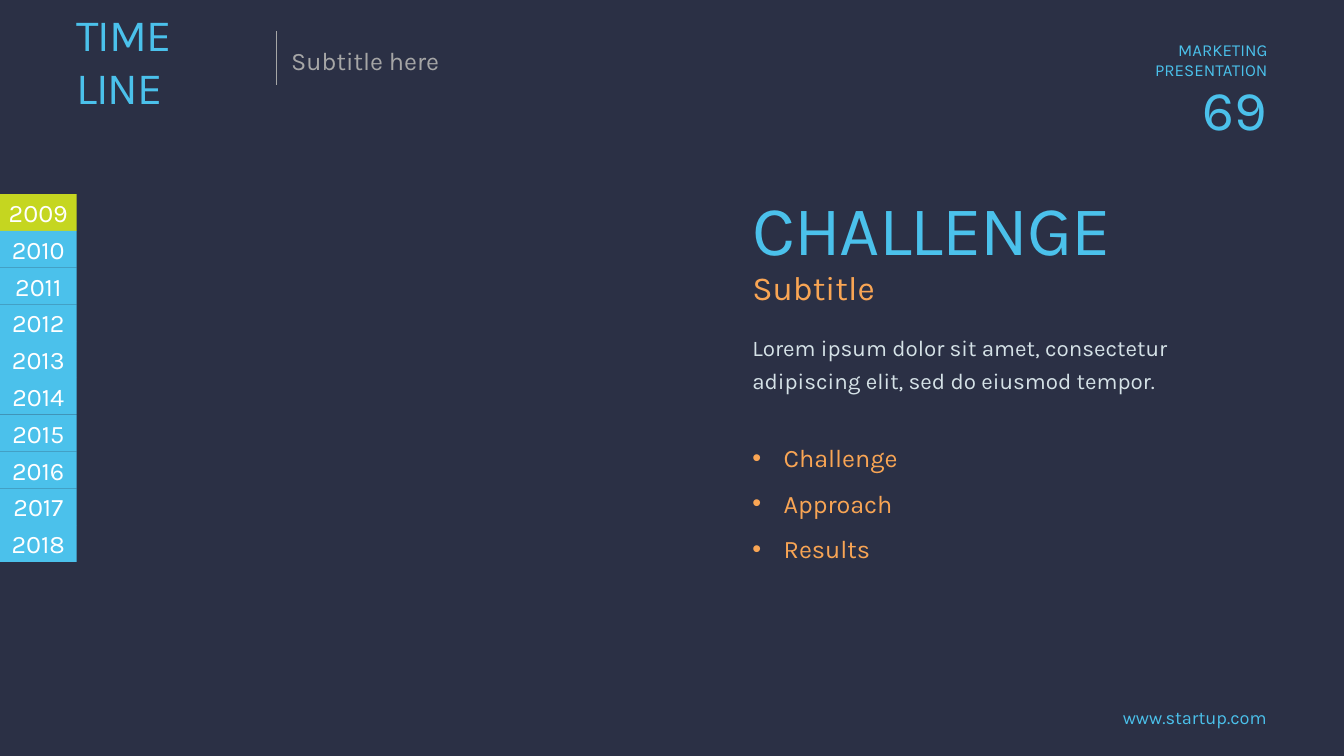
from lxml import etree
from pptx import Presentation
from pptx import util as u
from pptx.dml.color import RGBColor
from pptx.enum import shapes, text
from pptx.oxml import ns

PX = 9144  # 100 px to the inch
FONT = "Karla"
BLUE, ORANGE, GREY = "4BC1EB", "F9A554", "A6A6A6"
LEFT, RIGHT = text.PP_ALIGN.LEFT, text.PP_ALIGN.RIGHT
TOP, MID = text.MSO_ANCHOR.TOP, text.MSO_ANCHOR.MIDDLE


def paint(color, hue):
    color.rgb = RGBColor.from_string(hue)


def write(frame, lines, size, hue, align=LEFT, anchor=MID,
          pad=0, space=None, track=0, bullet=False):
    frame.word_wrap = True
    frame.vertical_anchor = anchor
    frame.margin_left = frame.margin_right = pad * PX
    frame.margin_top = frame.margin_bottom = pad // 2 * PX
    frame.text = "\n".join(lines)
    for para in frame.paragraphs:
        para.alignment = align
        if space:
            para.line_spacing = space
        if bullet:
            props = para._p.get_or_add_pPr()
            props.set("marL", str(62 * PX))
            props.set("indent", str(-62 * PX))
            etree.SubElement(props, ns.qn("a:buFont")).set("typeface", "Arial")
            etree.SubElement(props, ns.qn("a:buChar")).set("char", "•")
        para.font.size = u.Pt(size)
        para.font.name = FONT
        paint(para.font.color, hue)
        if track:
            for run in para.runs:
                run._r.get_or_add_rPr().set("spc", str(track))


deck = Presentation()
deck.slide_width, deck.slide_height = 2667 * PX, 1500 * PX
slide = deck.slides.add_slide(deck.slide_layouts[6])
slide.background.fill.solid()
paint(slide.background.fill.fore_color, "2B3045")

# Text blocks: place, lines, size, colour, options
blocks = [
    # Footer and page mark
    ((2156, 1401, 358, 44), ["www.startup.com"], 26, BLUE,
     dict(align=RIGHT, anchor=TOP)),
    ((2281, 78, 234, 81), ["MARKETING", "PRESENTATION"], 24, BLUE,
     dict(align=RIGHT)),
    ((2206, 175, 308, 80), ["69"], 80, BLUE, dict(align=RIGHT)),
    # Heading
    ((152, 65, 374, 108), ["TIME\vLINE"], 64, BLUE, dict(track=-150)),
    ((568, 84, 317, 71), ["Subtitle here"], 36, GREY, dict(pad=10)),
    # Challenge
    ((1493, 530, 300, 81), ["Subtitle"], 48, ORANGE, {}),
    ((1493, 367, 713, 168), ["CHALLENGE"], 100, BLUE, dict(track=-150)),
    ((1493, 653, 1022, 129),
     ["Lorem ipsum dolor sit amet, consectetur adipiscing elit, "
      "sed do eiusmod tempor."], 32, "D5E2E7", dict(anchor=TOP, space=1.2)),
    ((1493, 848, 1022, 273), ["Challenge", "Approach", "Results"], 36, ORANGE,
     dict(anchor=TOP, space=1.5, bullet=True)),
]
for place, lines, size, hue, opts in blocks:
    box = slide.shapes.add_textbox(*(n * PX for n in place))
    write(box.text_frame, lines, size, hue, **opts)

# Rule between title and subtitle
rule = slide.shapes.add_connector(
    shapes.MSO_CONNECTOR.STRAIGHT, 549 * PX, 62 * PX, 549 * PX, 169 * PX)
paint(rule.line.color, GREY)
rule.line.width = u.Pt(2.25)
etree.SubElement(rule._element.spPr, ns.qn("a:effectLst"))

# Year tabs
tabs = slide.shapes.add_group_shape()
for i in range(10):
    tab = tabs.shapes.add_shape(shapes.MSO_SHAPE.RECTANGLE,
                                0, (385 + 73 * i) * PX, 152 * PX, 73 * PX)
    tab.shadow.inherit = False
    tab.fill.solid()
    paint(tab.fill.fore_color, BLUE if i else "C5D620")
    tab.line.fill.background()
    write(tab.text_frame, [str(2009 + i)], 36, "FFFFFF",
          align=text.PP_ALIGN.CENTER, pad=10)

deck.save("out.pptx")
